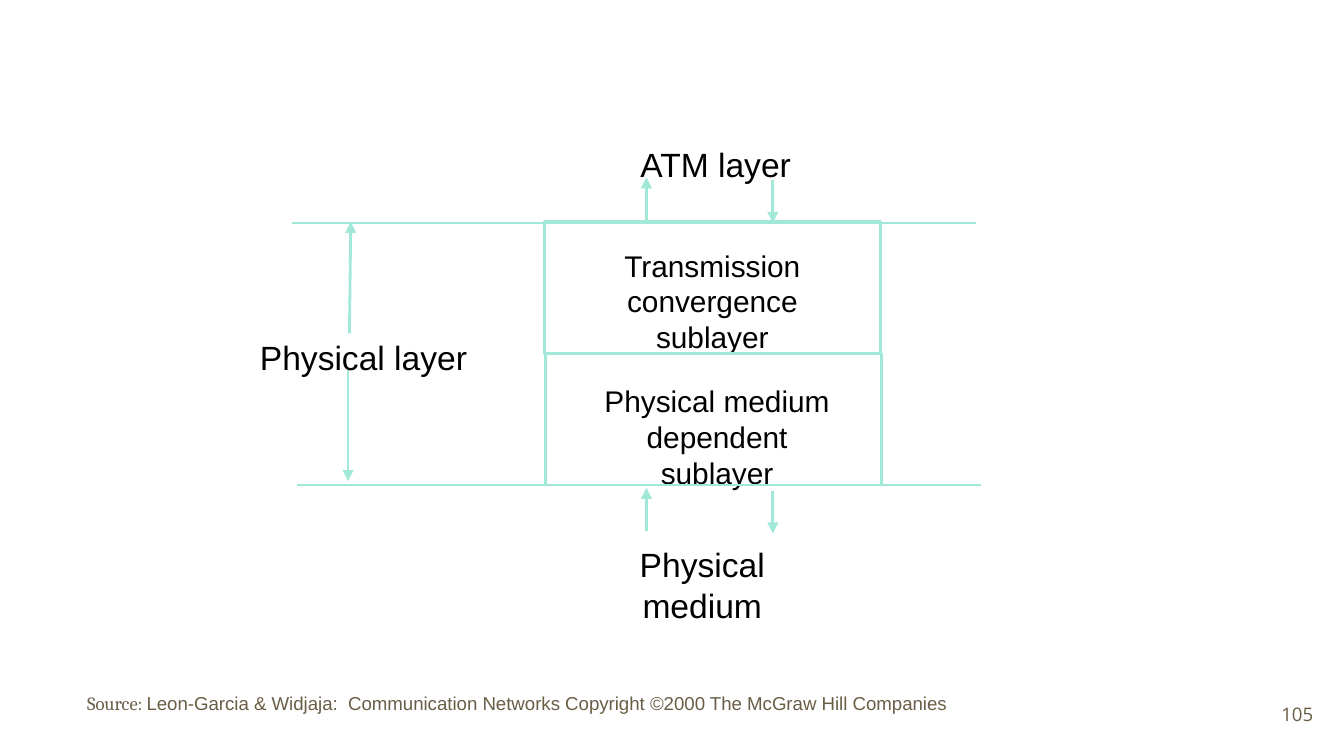
from pptx import Presentation
from pptx.dml.color import RGBColor
from pptx.enum.shapes import MSO_CONNECTOR, MSO_SHAPE
from pptx.enum.text import MSO_ANCHOR, PP_ALIGN
from pptx.oxml.ns import qn
from pptx.util import Inches, Pt
from lxml.etree import SubElement

MINT, BLACK, BROWN = "A1E8D9", "000000", "695D46"


def color(hex_code):
    """Turn a hex string into a colour."""
    return RGBColor.from_string(hex_code)


def add_label(slide, box, runs, align=PP_ALIGN.CENTER, anchor=MSO_ANCHOR.TOP, inset=0.05):
    """Add one wrapped paragraph of (text, size, font, colour) runs."""
    frame = slide.shapes.add_textbox(*map(Inches, box)).text_frame
    frame.word_wrap = True
    frame.vertical_anchor = anchor
    frame.margin_top = frame.margin_bottom = Inches(inset)
    paragraph = frame.paragraphs[0]
    paragraph.alignment = align
    for text, size, font, hex_code in runs:
        run = paragraph.add_run()
        run.text = text
        run.font.size = Pt(size)
        run.font.name = font
        run.font.color.rgb = color(hex_code)


def add_line(slide, start, end, width=1.5, arrow=True):
    """Draw a mint line, with an arrowhead at its end if asked."""
    connector = slide.shapes.add_connector(
        MSO_CONNECTOR.STRAIGHT, *map(Inches, (*start, *end)))
    connector.line.color.rgb = color(MINT)
    connector.line.width = Pt(width)
    properties = connector._element.spPr
    if arrow:
        SubElement(properties.find(qn("a:ln")), qn("a:tailEnd"), type="triangle")
    SubElement(properties, qn("a:effectLst"))


def add_sublayer(slide, box, text, text_box):
    """Draw a sublayer frame with its name placed relative to it."""
    left, top, width, height = box
    frame = slide.shapes.add_shape(MSO_SHAPE.RECTANGLE, *map(Inches, box))
    frame.shadow.inherit = False
    frame.fill.background()
    frame.line.color.rgb = color(MINT)
    frame.line.width = Pt(1.5)
    dx, dy, text_width, text_height = text_box
    add_label(slide, (left + dx, top + dy, text_width, text_height),
              [(text, 16, "Arial", BLACK)])


def add_stack(slide, left, top, width, height):
    """Draw the two sublayers, their neighbours and the arrows between them."""
    half = height / 2
    bottom = top + height
    add_sublayer(slide, (left, top, width, half),
                 "Transmission convergence sublayer", (0.49, 0.14, 1.52, 1.18))
    add_sublayer(slide, (left + 0.01, top + half, width, half),
                 "Physical medium dependent sublayer", (0.28, 0.17, 1.99, 0.91))
    up, down = left + 0.76, left + 1.7
    for edge in (top, bottom + 0.35):
        add_line(slide, (up, edge - 0.01), (up, edge - 0.33))
        add_line(slide, (down, edge - 0.31), (down, edge + 0.01))
    for text, dx, y, label_height in (("Physical medium", 0.28, bottom + 0.39, 0.7),
                                      ("ATM layer", 0.38, top - 0.63, 0.4)):
        add_label(slide, (left + dx, y, 1.79, label_height), [(text, 18, "Arial", BLACK)])


def add_span(slide, left, top, width, height):
    """Mark the extent of the physical layer with borders and a split arrow."""
    bottom = top + height
    for x, y in ((left, top), (left + 0.04, bottom)):
        add_line(slide, (x, y), (x + width, y), 0.75, arrow=False)
    add_label(slide, (left - 0.47, top + 0.8, 2.01, 0.4),
              [("Physical layer", 18, "Arial", BLACK)])
    add_line(slide, (left + 0.43, top + 0.82), (left + 0.44, top - 0.01))
    add_line(slide, (left + 0.42, bottom - 0.86), (left + 0.42, bottom - 0.03))


def add_footer(slide, left, top, width, height):
    """Add the source line and the slide number."""
    add_label(slide, (left, top, width - 0.45, height),
              [("Source: ", 10, "Cambria", BROWN),
               ("Leon-Garcia & Widjaja:  Communication Networks "
                "Copyright ©2000 The McGraw Hill Companies", 10, "Arial", BROWN)],
              PP_ALIGN.LEFT)
    add_label(slide, (left + width - 0.6, top, 0.6, height),
              [("105", 10, "Open Sans", BROWN)],
              PP_ALIGN.RIGHT, MSO_ANCHOR.MIDDLE, 0.1)


def main():
    """Build the slide and save it."""
    deck = Presentation()
    deck.slide_width, deck.slide_height = Inches(10), Inches(10 * 9 / 16)
    slide = deck.slides.add_slide(deck.slide_layouts[6])
    add_stack(slide, 4.05, 1.65, 2.5, 1.96)
    add_span(slide, 2.17, 1.66, 5.09, 1.95)
    add_footer(slide, 0.55, 5.1, 9.32, 0.43)
    deck.save("out.pptx")


if __name__ == "__main__":
    main()
